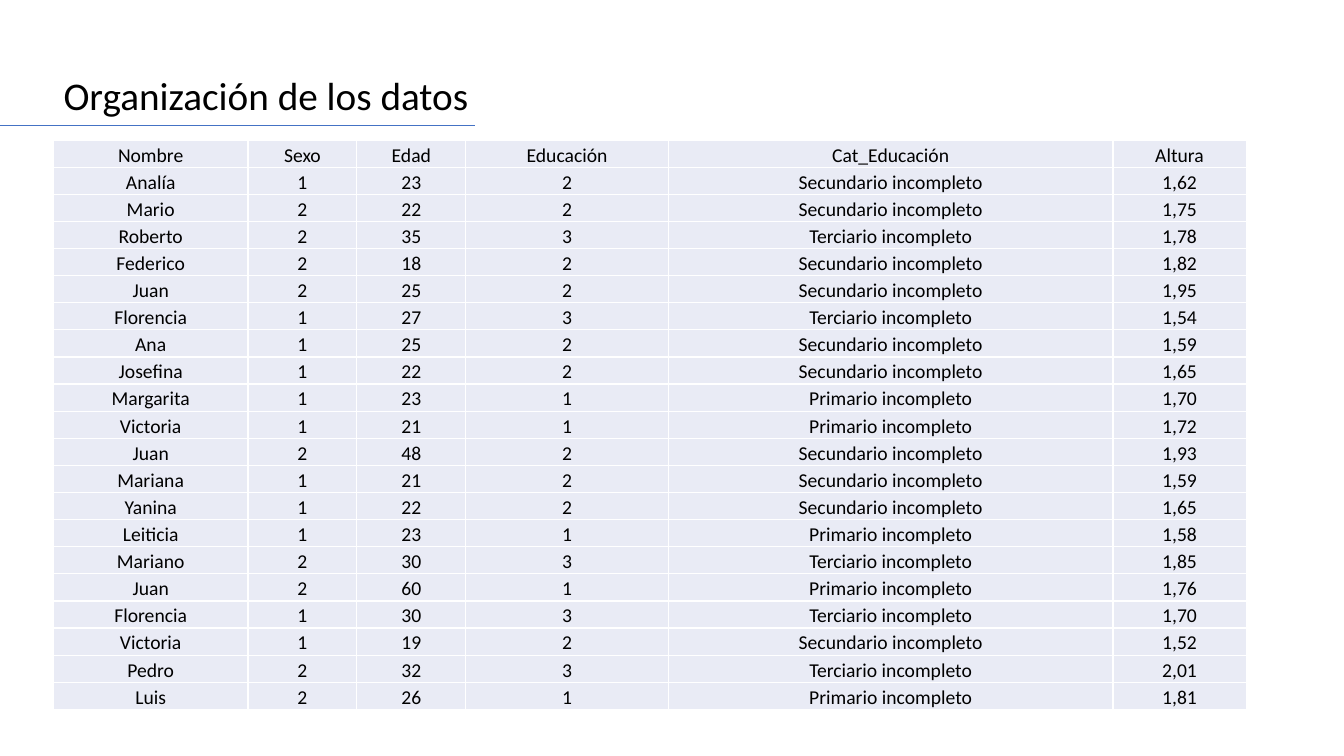
from dataclasses import astuple, dataclass

from lxml.etree import SubElement
from pptx import Presentation
from pptx.dml.color import RGBColor
from pptx.enum.shapes import MSO_CONNECTOR
from pptx.enum.text import MSO_ANCHOR, MSO_AUTO_SIZE, PP_ALIGN
from pptx.oxml.ns import qn
from pptx.slide import Slide
from pptx.table import _Cell
from pptx.text.text import _Paragraph
from pptx.util import Inches, Pt


@dataclass(frozen=True)
class Theme:
    font: str = "Calibri"
    text: str = "000000"
    rule: str = "4472C4"
    cell: str = "E9EBF5"
    border: str = "FFFFFF"
    title_size: float = 28
    table_size: float = 14
    rule_width: float = 0.5
    border_width: float = 1


@dataclass(frozen=True)
class Person:
    name: str
    sex: int
    age: int
    education: int
    height: str

    def cells(self) -> list[str]:
        name, sex, age, education, height = map(str, astuple(self))
        return [name, sex, age, education, LEVELS[self.education], height]


THEME = Theme()
WIDTH, HEIGHT = 13.33, 7.5
MARGIN = 0.53
TABLE_TOP, TABLE_HEIGHT = 1.39, 5.65
LEVELS = {
    1: "Primario incompleto",
    2: "Secundario incompleto",
    3: "Terciario incompleto",
}
COLUMNS = {
    "Nombre": 1.93,
    "Sexo": 1.08,
    "Edad": 1.08,
    "Educación": 2.01,
    "Cat_Educación": 4.41,
    "Altura": 1.32,
}
PEOPLE = [
    Person("Analía", 1, 23, 2, "1,62"),
    Person("Mario", 2, 22, 2, "1,75"),
    Person("Roberto", 2, 35, 3, "1,78"),
    Person("Federico", 2, 18, 2, "1,82"),
    Person("Juan", 2, 25, 2, "1,95"),
    Person("Florencia", 1, 27, 3, "1,54"),
    Person("Ana", 1, 25, 2, "1,59"),
    Person("Josefina", 1, 22, 2, "1,65"),
    Person("Margarita", 1, 23, 1, "1,70"),
    Person("Victoria", 1, 21, 1, "1,72"),
    Person("Juan", 2, 48, 2, "1,93"),
    Person("Mariana", 1, 21, 2, "1,59"),
    Person("Yanina", 1, 22, 2, "1,65"),
    Person("Leiticia", 1, 23, 1, "1,58"),
    Person("Mariano", 2, 30, 3, "1,85"),
    Person("Juan", 2, 60, 1, "1,76"),
    Person("Florencia", 1, 30, 3, "1,70"),
    Person("Victoria", 1, 19, 2, "1,52"),
    Person("Pedro", 2, 32, 3, "2,01"),
    Person("Luis", 2, 26, 1, "1,81"),
]


def format_text(para: _Paragraph, size: float, align: PP_ALIGN) -> None:
    para.alignment = align
    for span in para.runs:
        span.font.name = THEME.font
        span.font.size = Pt(size)
        span.font.color.rgb = RGBColor.from_string(THEME.text)


def draw_title(page: Slide, text: str) -> None:
    box = page.shapes.title
    box.left, box.top = Inches(MARGIN), Inches(0.71)
    box.width, box.height = Inches(9.5), Inches(0.76)
    frame = box.text_frame
    frame.text = text
    frame.word_wrap = True
    frame.auto_size = MSO_AUTO_SIZE.NONE
    frame.vertical_anchor = MSO_ANCHOR.TOP
    para = frame.paragraphs[0]
    para.line_spacing = 0.9
    para.space_before = Pt(12)
    format_text(para, THEME.title_size, PP_ALIGN.JUSTIFY)


def draw_title_rule(page: Slide, length: float, top: float) -> None:
    rule = page.shapes.add_connector(
        MSO_CONNECTOR.STRAIGHT, 0, Inches(top), Inches(length), Inches(top))
    rule.line.color.rgb = RGBColor.from_string(THEME.rule)
    rule.line.width = Pt(THEME.rule_width)
    SubElement(rule.element.spPr, qn("a:effectLst"))


def add_borders(cell: _Cell) -> None:
    properties = cell._tc.get_or_add_tcPr()
    for side in ("lnL", "lnR", "lnT", "lnB"):
        line = SubElement(properties, qn(f"a:{side}"), w=str(Pt(THEME.border_width)))
        fill = SubElement(line, qn("a:solidFill"))
        SubElement(fill, qn("a:srgbClr"), val=THEME.border)


def draw_cell(cell: _Cell, text: str) -> None:
    cell.text_frame.text = text
    cell.margin_left = cell.margin_right = cell.margin_top = Inches(0.01)
    cell.margin_bottom = 0
    cell.vertical_anchor = MSO_ANCHOR.BOTTOM
    add_borders(cell)
    cell.fill.solid()
    cell.fill.fore_color.rgb = RGBColor.from_string(THEME.cell)
    format_text(cell.text_frame.paragraphs[0], THEME.table_size, PP_ALIGN.CENTER)


def draw_table(page: Slide, rows: list[list[str]]) -> None:
    table = page.shapes.add_table(
        len(rows), len(COLUMNS), Inches(MARGIN), Inches(TABLE_TOP),
        Inches(sum(COLUMNS.values())), Inches(TABLE_HEIGHT)).table
    table.first_row = table.horz_banding = False
    for column, width in zip(table.columns, COLUMNS.values()):
        column.width = Inches(width)
    for row, texts in zip(table.rows, rows):
        for cell, text in zip(row.cells, texts):
            draw_cell(cell, text)


# Deck with a title-only page
deck = Presentation()
deck.slide_width, deck.slide_height = Inches(WIDTH), Inches(HEIGHT)
page = deck.slides.add_slide(deck.slide_layouts.get_by_name("Title Only"))

# Heading, its underline and the data
draw_title(page, "Organización de los datos")
draw_title_rule(page, length=4.71, top=1.24)
draw_table(page, [list(COLUMNS), *(person.cells() for person in PEOPLE)])

deck.save("out.pptx")
